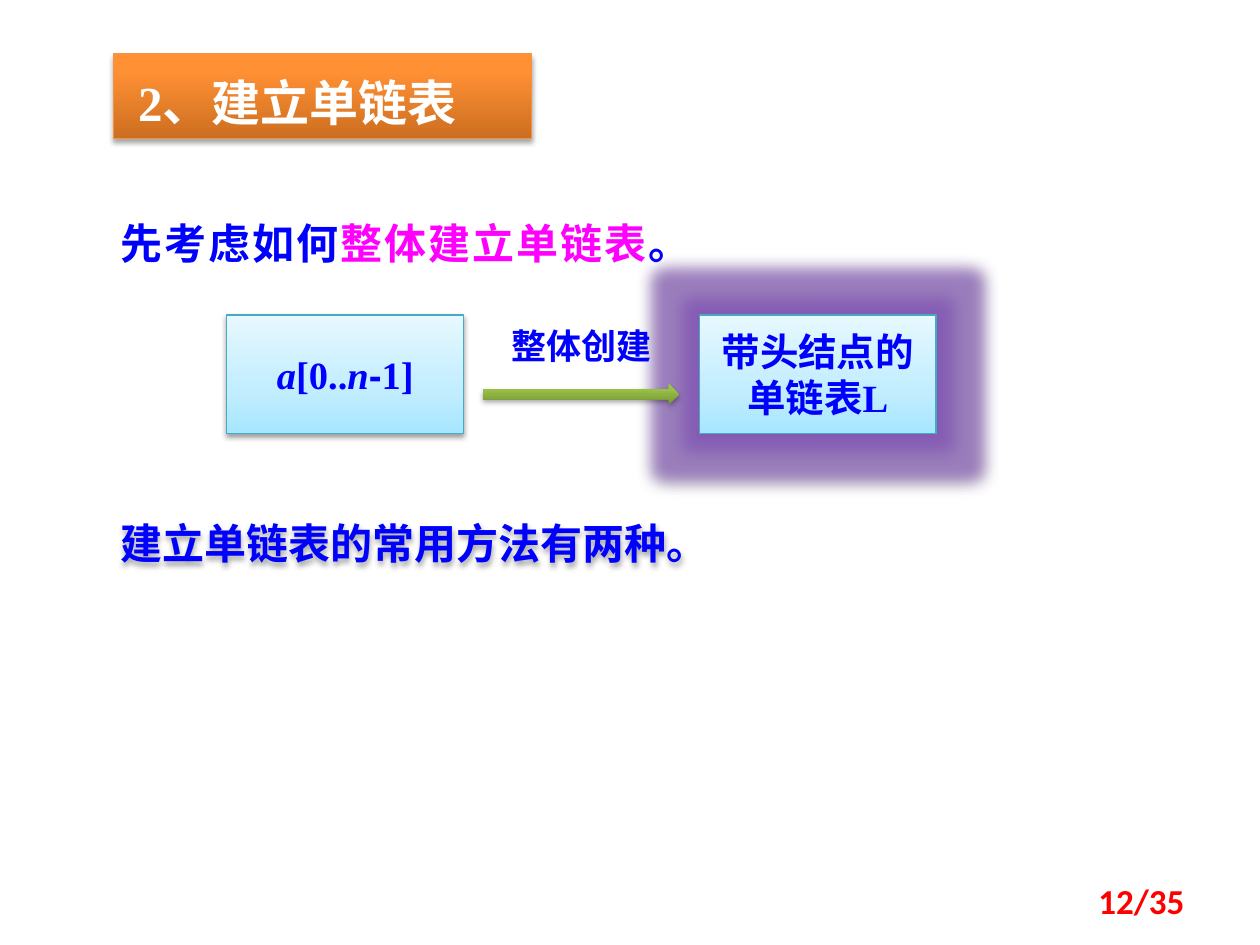
from lxml import etree
from pptx import Presentation
from pptx import util as u
from pptx.dml.color import RGBColor
from pptx.enum import shapes, text
from pptx.oxml.ns import qn

BLUE = RGBColor(0x00, 0x00, 0xFF)
MAGENTA = RGBColor(0xFF, 0x00, 0xFF)
WHITE = RGBColor(0xFF, 0xFF, 0xFF)
RED = RGBColor(0xFF, 0x00, 0x00)
BLACK = RGBColor(0x00, 0x00, 0x00)
PURPLE = RGBColor(0x7F, 0x4F, 0xB7)
ORANGE_EDGE = RGBColor(0xF6, 0x92, 0x40)
TEAL_EDGE = RGBColor(0x46, 0xAA, 0xC5)
ORANGES = [(0, RGBColor(0xCC, 0x6E, 0x20)), (80, RGBColor(0xFF, 0x90, 0x34)),
           (100, RGBColor(0xFF, 0x91, 0x36))]
SKIES = [(0, RGBColor(0xA7, 0xE6, 0xFF)), (35, RGBColor(0xC1, 0xED, 0xFF)),
         (100, RGBColor(0xE7, 0xF8, 0xFF))]
GREENS = [(0, RGBColor(0x77, 0x97, 0x37)), (80, RGBColor(0x9B, 0xC3, 0x48)),
          (100, RGBColor(0x9D, 0xC7, 0x46))]


class SlideBuilder:
    """Hold the common text style and the slide being filled."""

    style = {"name": "Times New Roman", "size": u.Pt(24), "bold": True}

    def __init__(self, slide):
        self.slide = slide

    def color(self, parent, rgb, alpha=100):
        value = etree.SubElement(parent, qn("a:srgbClr"), val=str(rgb))
        if alpha < 100:
            etree.SubElement(value, qn("a:alpha"), val=str(alpha * 1000))

    def effects(self, target):
        target.shadow.inherit = False
        return target._element.spPr.find(qn("a:effectLst"))

    def shadow(self, target, alpha=35, distance=1.8):
        node = etree.SubElement(self.effects(target), qn("a:outerShdw"),
                                blurRad=str(u.Pt(3.1)), dist=str(u.Pt(distance)),
                                dir="5400000", rotWithShape="0")
        self.color(node, BLACK, alpha)

    def glow(self, target, rgb, radius, alpha):
        node = etree.SubElement(self.effects(target), qn("a:glow"), rad=str(u.Pt(radius)))
        self.color(node, rgb, alpha)

    def put_text(self, target, runs, color, align, anchor, spacing=None, **style):
        frame = target.text_frame
        frame.word_wrap = True
        frame.vertical_anchor = anchor
        paragraph = frame.paragraphs[0]
        paragraph.alignment = align
        paragraph.line_spacing = spacing
        for wording, changes in runs:
            run = paragraph.add_run()
            run.text = wording
            values = {**self.style, "color": color, **style, **changes}
            run.font.color.rgb = values.pop("color")
            for key, value in values.items():
                setattr(run.font, key, value)

    def label(self, box, runs, color=BLUE, align=text.PP_ALIGN.LEFT,
              anchor=text.MSO_ANCHOR.TOP, **style):
        target = self.slide.shapes.add_textbox(*map(u.Inches, box))
        self.put_text(target, runs, color, align, anchor, **style)
        return target

    def block(self, kind, box, stops, edge=None):
        target = self.slide.shapes.add_shape(kind, *map(u.Inches, box))
        target.fill.gradient()
        target.fill.gradient_angle = 90
        stop_list = target._element.spPr.find(".//" + qn("a:gsLst"))
        for old in list(stop_list):
            stop_list.remove(old)
        for position, rgb in stops:
            self.color(etree.SubElement(stop_list, qn("a:gs"), pos=str(position * 1000)), rgb)
        if edge is None:
            target.line.fill.background()
        else:
            target.line.color.rgb = edge
            target.line.width = u.Pt(0.75)
        return target

    def node(self, left, runs):
        target = self.block(shapes.MSO_SHAPE.RECTANGLE, (left, 2.5, 1.88, 0.94), SKIES,
                            TEAL_EDGE)
        self.put_text(target, runs, BLUE, text.PP_ALIGN.CENTER, text.MSO_ANCHOR.MIDDLE,
                      size=u.Pt(22))
        return target


def main():
    deck = Presentation()
    deck.slide_width, deck.slide_height = u.Inches(10), u.Inches(7.5)
    page = SlideBuilder(deck.slides.add_slide(deck.slide_layouts[6]))

    page.label((0.86, 1.48, 4.72, 0.71),
               [("先考虑如何", {}), ("整体建立单链表", {"color": MAGENTA}), ("。　", {})],
               align=text.PP_ALIGN.JUSTIFY, spacing=1.5)

    heading = page.block(shapes.MSO_SHAPE.RECTANGLE, (0.9, 0.43, 3.32, 0.67), ORANGES,
                         ORANGE_EDGE)
    page.shadow(heading)
    page.put_text(heading, [(" 2、建立单链表", {})], WHITE, text.PP_ALIGN.LEFT,
                  text.MSO_ANCHOR.TOP, spacing=1.2, size=u.Pt(28))

    array = page.node(1.8, [("a", {"italic": True}), ("[0..", {}), ("n", {"italic": True}),
                            ("-", {"name": "Arial"}), ("1]", {})])
    page.shadow(array, alpha=38, distance=1.6)
    linked_list = page.node(5.55, [("带头结点的单链表L", {})])
    page.glow(linked_list, PURPLE, radius=18, alpha=60)
    page.shadow(linked_list, alpha=38, distance=1.6)

    creation = page.block(shapes.MSO_SHAPE.RIGHT_ARROW, (3.83, 3.05, 1.56, 0.16), GREENS)
    page.shadow(creation)
    page.label((3.91, 2.53, 1.41, 0.44), [("整体创建", {})], align=text.PP_ALIGN.CENTER,
               name="Noto Sans CJK SC", size=u.Pt(20))

    methods = page.label((0.86, 4.06, 5, 0.5), [("建立单链表的常用方法有两种。", {})])
    page.shadow(methods)
    page.label((7.17, 6.95, 2.33, 0.4), [("12/35", {})], RED, text.PP_ALIGN.RIGHT,
               text.MSO_ANCHOR.MIDDLE, name="Calibri", size=u.Pt(20))
    deck.save("out.pptx")


if __name__ == "__main__":
    main()
